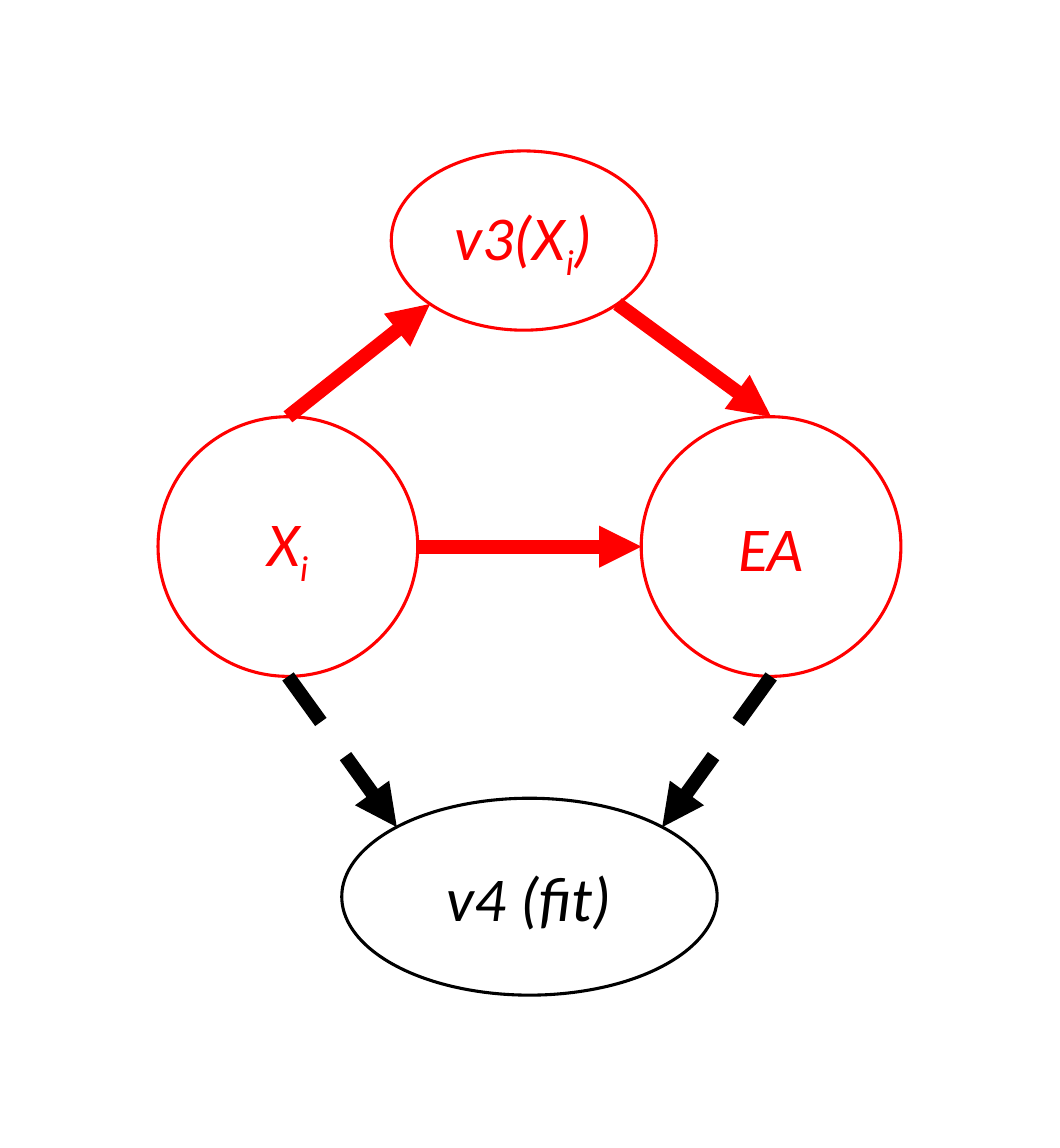
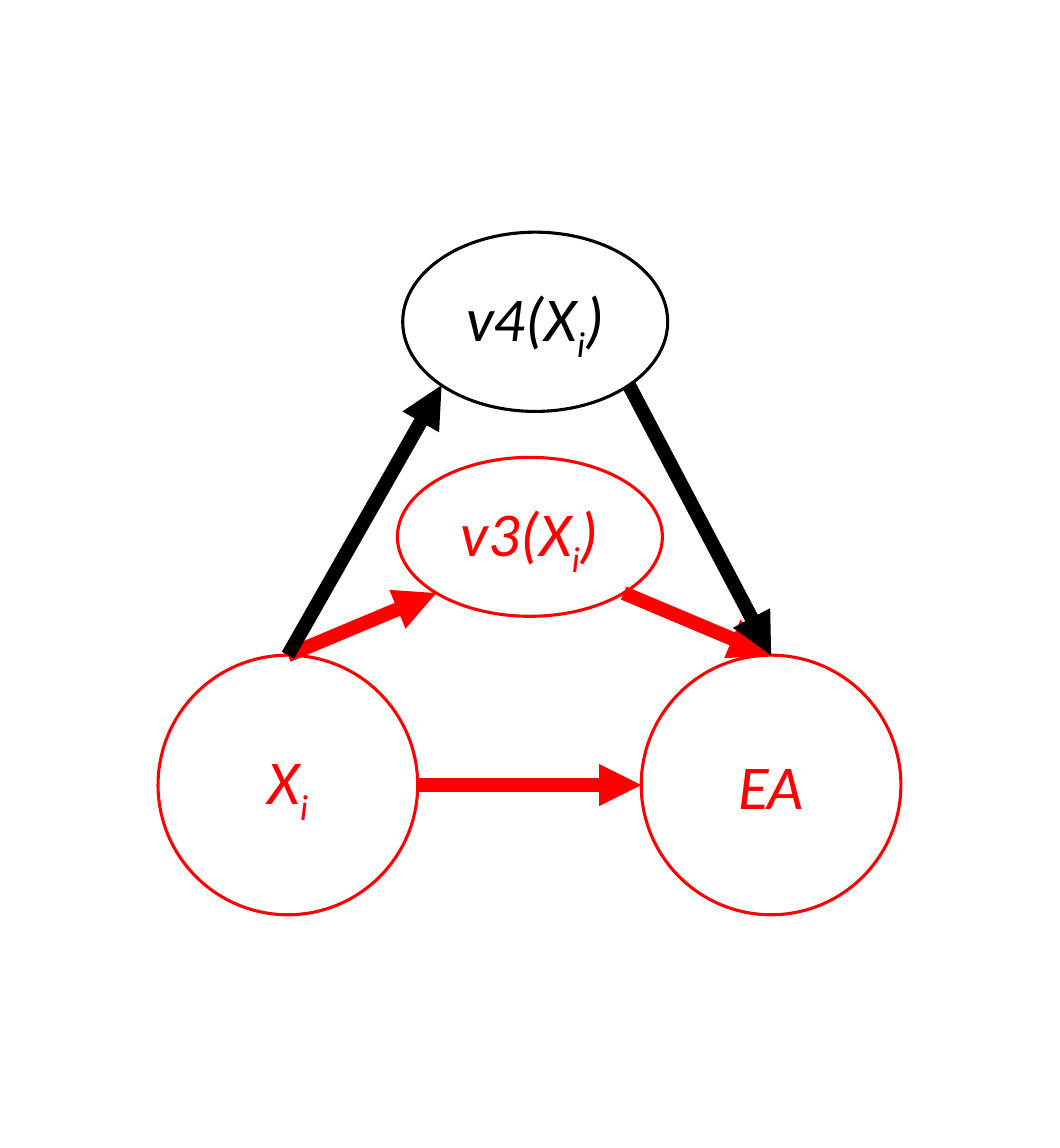
import math
from dataclasses import dataclass

from lxml import etree
from pptx import Presentation
from pptx.dml.color import RGBColor
from pptx.enum import dml, shapes, text
from pptx.oxml.ns import qn
from pptx.util import Cm, Pt

RED = RGBColor(0xFF, 0x00, 0x00)
BLACK = RGBColor(0x00, 0x00, 0x00)
FONT = "Calibri"
CIRCLE = 2.94
DIAGONAL = math.sqrt(0.5)

# Directions from the centre of an ellipse to points on its outline
TOP, BOTTOM, LEFT, RIGHT = (0, -1), (0, 1), (-1, 0), (1, 0)
TOP_LEFT, TOP_RIGHT = (-DIAGONAL, -DIAGONAL), (DIAGONAL, -DIAGONAL)
BOTTOM_LEFT, BOTTOM_RIGHT = (-DIAGONAL, DIAGONAL), (DIAGONAL, DIAGONAL)


@dataclass(frozen=True)
class Node:
    """An ellipse in centimetres; every second label part is a subscript."""
    label: tuple[str, ...]
    x: float
    y: float
    w: float = CIRCLE
    h: float = CIRCLE
    color: RGBColor = RED
    side_inset: float = 0.1

    def point(self, direction: tuple[float, float]) -> tuple[Cm, Cm]:
        dx, dy = direction
        return (Cm(self.x + self.w / 2 * (1 + dx)),
                Cm(self.y + self.h / 2 * (1 + dy)))


@dataclass(frozen=True)
class Arrow:
    start: Node
    start_side: tuple[float, float]
    end: Node
    end_side: tuple[float, float]
    color: RGBColor = RED
    dashed: bool = False


def add_text(tf, parts: tuple[str, ...], *, color: RGBColor,
             size: float = 20, side_inset: float = 0.1) -> None:
    tf.word_wrap = True
    tf.vertical_anchor = text.MSO_ANCHOR.MIDDLE
    tf.margin_left = tf.margin_right = Cm(side_inset)
    tf.margin_top = tf.margin_bottom = Cm(0.1)
    p = tf.paragraphs[0]
    p.alignment = text.PP_ALIGN.CENTER
    for i, part in enumerate(parts):
        r = p.add_run()
        r.text = part
        r.font.name = FONT
        r.font.size = Pt(size)
        r.font.italic = True
        r.font.color.rgb = color
        if i % 2:
            r._r.get_or_add_rPr().set("baseline", "-25000")


def add_node(s, node: Node) -> None:
    sp = s.shapes.add_shape(shapes.MSO_SHAPE.OVAL, Cm(node.x), Cm(node.y),
                            Cm(node.w), Cm(node.h))
    sp.shadow.inherit = False
    sp.fill.background()
    sp.line.color.rgb = node.color
    sp.line.width = Pt(1)
    add_text(sp.text_frame, node.label, color=node.color,
             side_inset=node.side_inset)


def add_arrow(s, arrow: Arrow) -> None:
    cxn = s.shapes.add_connector(shapes.MSO_CONNECTOR.STRAIGHT,
                                 *arrow.start.point(arrow.start_side),
                                 *arrow.end.point(arrow.end_side))
    cxn.line.color.rgb = arrow.color
    cxn.line.width = Pt(4.5)
    if arrow.dashed:
        cxn.line.dash_style = dml.MSO_LINE.DASH
    sp_pr = cxn._element.spPr
    etree.SubElement(sp_pr.find(qn("a:ln")), qn("a:tailEnd"), type="triangle")
    etree.SubElement(sp_pr, qn("a:effectLst"))


def base_nodes(y: float) -> tuple[Node, Node]:
    return Node(("X", "i"), 1.79, y), Node(("EA",), 7.26, y)


def mediator(name: str, x: float, y: float, h: float = 2.03,
             color: RGBColor = RED) -> Node:
    return Node((f"{name}(X", "i", ")"), x, y, 3, h, color, side_inset=0)


def path_over(cause: Node, middle: Node, effect: Node) -> list[Arrow]:
    """The two arrows that lead from cause to effect through middle."""
    return [Arrow(cause, TOP, middle, BOTTOM_LEFT, middle.color),
            Arrow(middle, BOTTOM_RIGHT, effect, TOP, middle.color)]


def add_diagram(prs, nodes: list[Node], arrows: list[Arrow]) -> None:
    s = prs.slides.add_slide(prs.slide_layouts[6])
    for node in nodes:
        add_node(s, node)
    for arrow in arrows:
        add_arrow(s, arrow)


def add_fit_slide(prs) -> None:
    xi, ea = base_nodes(4.72)
    v3 = mediator("v3", 4.43, 1.71)
    fit = Node(("v4 (fit)",), 3.87, 9.04, 4.25, 2.23, BLACK)
    add_diagram(prs, [xi, ea, fit, v3], [
        Arrow(xi, RIGHT, ea, LEFT),
        Arrow(xi, BOTTOM, fit, TOP_LEFT, BLACK, dashed=True),
        Arrow(ea, BOTTOM, fit, TOP_RIGHT, BLACK, dashed=True),
        *path_over(xi, v3, ea),
    ])


def add_two_mediators_slide(prs) -> None:
    xi, ea = base_nodes(7.42)
    v3 = mediator("v3", 4.5, 5.18, h=1.8)
    v4 = mediator("v4", 4.56, 2.63, color=BLACK)
    add_diagram(prs, [xi, ea, v3, v4], [
        Arrow(xi, RIGHT, ea, LEFT),
        *path_over(xi, v3, ea),
        *path_over(xi, v4, ea),
    ])


def main() -> None:
    prs = Presentation()
    prs.slide_width, prs.slide_height = Cm(12), Cm(13)
    add_fit_slide(prs)
    add_two_mediators_slide(prs)
    prs.save("out.pptx")


if __name__ == "__main__":
    main()
